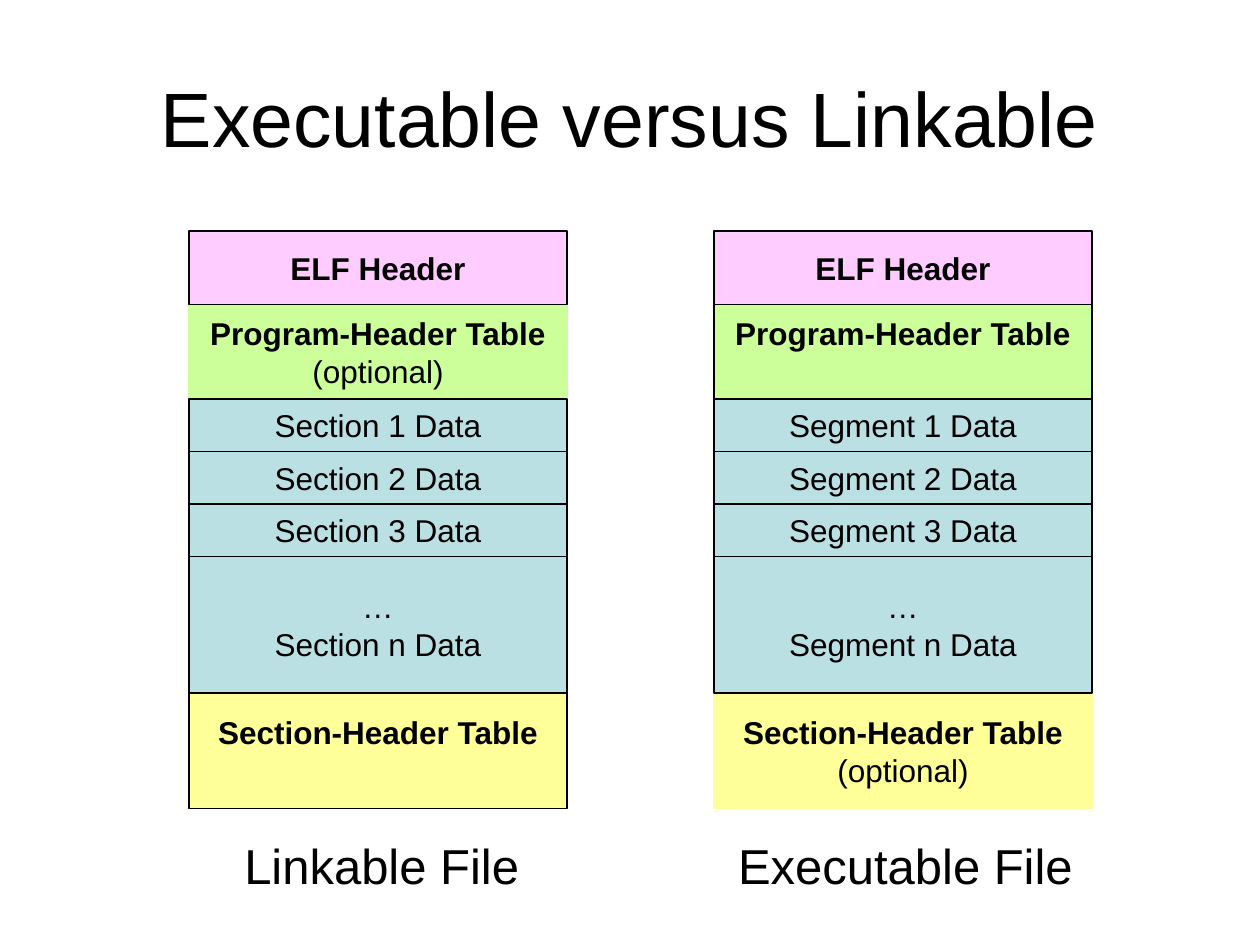
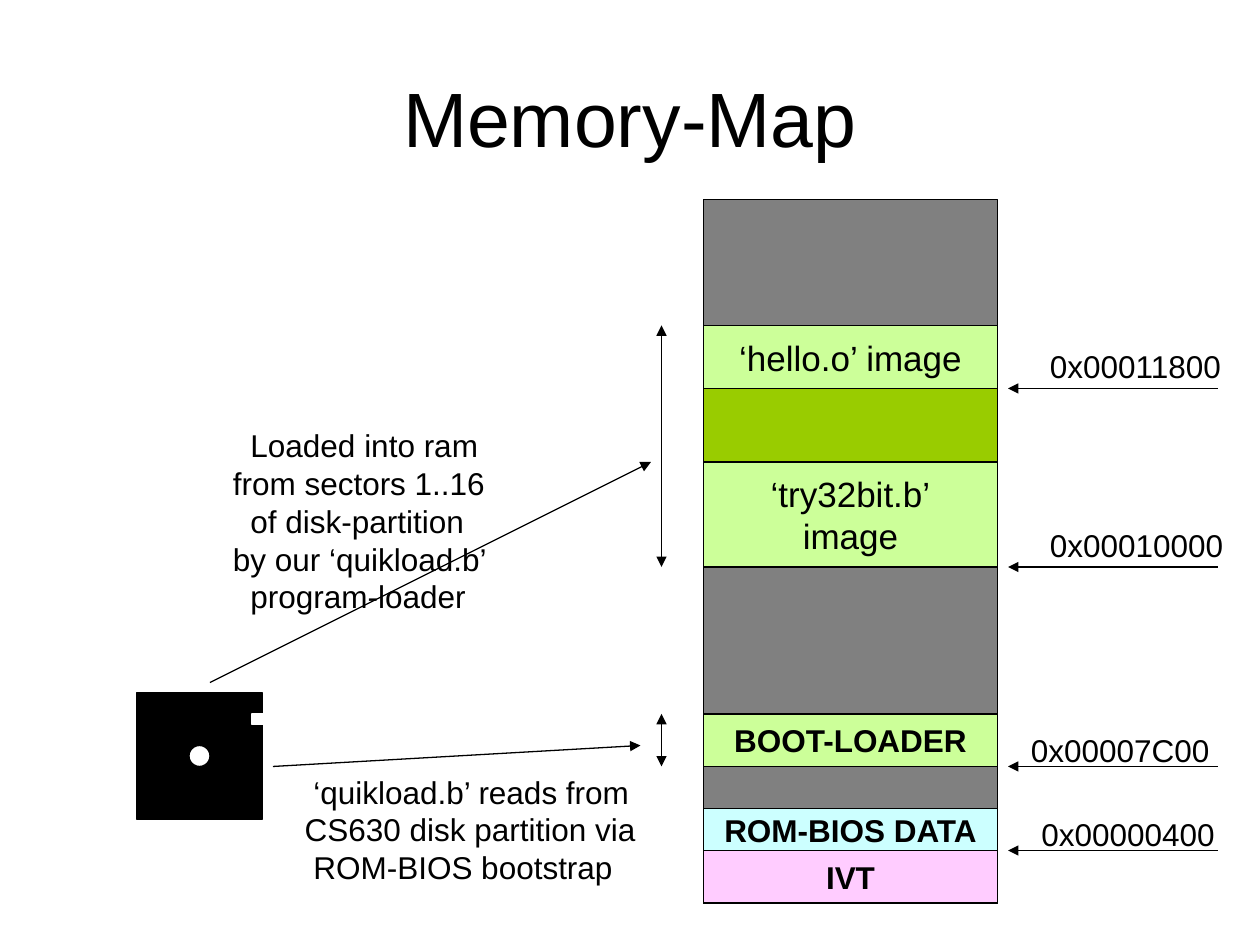
from itertools import accumulate

from lxml.etree import SubElement
from pptx import Presentation
from pptx.dml.color import RGBColor
from pptx.enum.shapes import MSO_CONNECTOR, MSO_SHAPE
from pptx.enum.text import MSO_ANCHOR, MSO_AUTO_SIZE, PP_ALIGN
from pptx.oxml.ns import qn
from pptx.util import Pt

COLOURS = {
    "ink": "000000",
    "paper": "FFFFFF",
    "header": "FFCCFF",
    "program": "CCFF99",
    "data": "BBE0E3",
    "section": "FFFF99",
    "unused": "808080",
    "arena": "99CC00",
    "bios": "CCFFFF",
}
FONT = "Arial"
LINE_WIDTH = Pt(0.75)
FILE_TOP, FILE_WIDTH = 132, 216
MEMORY_LEFT, MEMORY_WIDTH = 402, 168
ADDRESS_WIDTH = 118
SECOND_LINE = 21.7
FRAME_FORMAT = {
    "margin_left": Pt(7.2),
    "margin_right": Pt(7.2),
    "margin_top": Pt(3.6),
    "margin_bottom": Pt(3.6),
    "word_wrap": True,
}


def colour(name):
    return RGBColor.from_string(COLOURS[name])


def apply_format(target, values):
    for attribute, value in values.items():
        setattr(target, attribute, value)


def write_lines(frame, lines, size, align, bold=False, indents=()):
    for number, line in enumerate(lines):
        paragraph = frame.add_paragraph() if number else frame.paragraphs[0]
        paragraph.alignment = align
        if indents:
            properties = paragraph._p.get_or_add_pPr()
            properties.set("marL", str(Pt(indents[number])))
            properties.set("indent", "0")
        run = paragraph.add_run()
        run.text = line
        apply_format(run.font, {"name": FONT, "size": Pt(size), "bold": bold and number == 0})
        run.font.color.rgb = colour("ink")


def add_block(slide, bounds, fill, lines=(), size=18, bold=False, edge="ink",
              spare=0, outline=MSO_SHAPE.RECTANGLE):
    block = slide.shapes.add_shape(outline, *map(Pt, bounds))
    block.shadow.inherit = False
    block.fill.solid()
    block.fill.fore_color.rgb = colour(fill)
    block.line.color.rgb = colour(edge)
    block.line.width = LINE_WIDTH
    if lines:
        apply_format(block.text_frame, FRAME_FORMAT | {
            "word_wrap": False,
            "vertical_anchor": MSO_ANCHOR.MIDDLE,
            "margin_bottom": Pt(3.6 + spare)})
        write_lines(block.text_frame, lines, size, PP_ALIGN.CENTER, bold)


def add_label(slide, bounds, lines, size=18, indents=()):
    label = slide.shapes.add_textbox(*map(Pt, bounds))
    apply_format(label.text_frame, FRAME_FORMAT | {"auto_size": MSO_AUTO_SIZE.SHAPE_TO_FIT_TEXT})
    write_lines(label.text_frame, lines, size, PP_ALIGN.LEFT, indents=indents)


def add_arrow(slide, start, end, both_ends=False):
    arrow = slide.shapes.add_connector(MSO_CONNECTOR.STRAIGHT, *map(Pt, start + end))
    arrow.line.color.rgb = colour("ink")
    arrow.line.width = LINE_WIDTH
    for tip in ("a:headEnd", "a:tailEnd") if both_ends else ("a:tailEnd",):
        SubElement(arrow.line._get_or_add_ln(), qn(tip), type="triangle")
    SubElement(arrow._element.spPr, qn("a:effectLst"))


def add_titled_slide(deck, title):
    slide = deck.slides.add_slide(deck.slide_layouts[6])
    heading = slide.shapes.add_textbox(*map(Pt, (36, 21.6, 648, 90)))
    apply_format(heading.text_frame, FRAME_FORMAT | {"vertical_anchor": MSO_ANCHOR.MIDDLE})
    write_lines(heading.text_frame, [title], 44, PP_ALIGN.CENTER)
    return slide


def add_file_layout(slide, left, unit, optional_table):
    parts = [
        (42, "header", ["ELF Header"]),
        (54, "program", ["Program-Header Table"]),
        *[(30, "data", [f"{unit} {number} Data"]) for number in (1, 2, 3)],
        (78, "data", ["…", f"{unit} n Data"]),
        (66, "section", ["Section-Header Table"]),
    ]
    tops = accumulate((height for height, *_ in parts), initial=FILE_TOP)
    placed = sorted(zip(tops, parts), key=lambda item: item[1][1] != optional_table)
    for top, (height, fill, lines) in placed:
        optional = fill == optional_table
        required_table = fill in ("program", "section") and not optional
        add_block(slide, (left, top, FILE_WIDTH, height), fill,
                  lines + ["(optional)"] if optional else lines,
                  bold=fill != "data", edge=fill if optional else "ink",
                  spare=SECOND_LINE if required_table else 0)


def add_memory_column(slide):
    for top, height, fill, lines, size, bold in (
        (324, 192, "unused", [], 18, False),
        (114, 210, "unused", [], 18, False),
        (186, 138, "arena", [], 18, False),
        (486, 30, "header", ["IVT"], 18, True),
        (462, 24, "bios", ["ROM-BIOS DATA"], 18, True),
        (408, 30, "program", ["BOOT-LOADER"], 18, True),
        (264, 60, "program", ["‘try32bit.b’", "image"], 20, False),
        (186, 36, "program", ["‘hello.o’ image"], 20, False),
    ):
        add_block(slide, (MEMORY_LEFT, top, MEMORY_WIDTH, height), fill, lines, size, bold)


def add_disk(slide):
    add_block(slide, (78, 396, 72, 72), "ink")
    add_block(slide, (144, 408, 18, 6), "paper", edge="paper")
    add_block(slide, (108, 426, 12, 12), "paper", outline=MSO_SHAPE.OVAL)


def main():
    deck = Presentation()
    apply_format(deck, {"slide_width": Pt(720), "slide_height": Pt(540)})

    files = add_titled_slide(deck, "Executable versus Linkable")
    add_file_layout(files, 108, "Section", "program")
    add_file_layout(files, 408, "Segment", "section")
    add_label(files, (132.5, 474, 176, 41), ["Linkable File"], 28)
    add_label(files, (414.7, 474, 210, 41), ["Executable File"], 28)

    memory = add_titled_slide(deck, "Memory-Map")
    add_memory_column(memory)
    add_disk(memory)
    for top, bottom in ((186, 324), (408, 438)):
        add_arrow(memory, (378, top), (378, bottom), both_ends=True)
    add_arrow(memory, (120, 390), (372, 264))
    add_arrow(memory, (156, 438), (366, 426))
    add_label(memory, (126, 240, 165, 115.2),
              ["Loaded into ram", "from sectors 1..16", "of disk-partition",
               "by our ‘quikload.b’", "program-loader"], indents=(10, 0, 10, 0, 10))
    add_label(memory, (162, 438, 214, 72),
              ["‘quikload.b’ reads from", "CS630 disk partition via", "ROM-BIOS bootstrap"],
              indents=(10, 5, 10))
    for address, level, left, top in (
        ("0x00011800", 222, 592.8, 195),
        ("0x00010000", 324, 592.8, 297),
        ("0x00007C00", 438, 582, 414),
        ("0x00000400", 486, 588, 462),
    ):
        add_arrow(memory, (696, level), (576, level))
        add_label(memory, (left, top, ADDRESS_WIDTH, 28.8), [address])

    deck.save("out.pptx")


if __name__ == "__main__":
    main()
